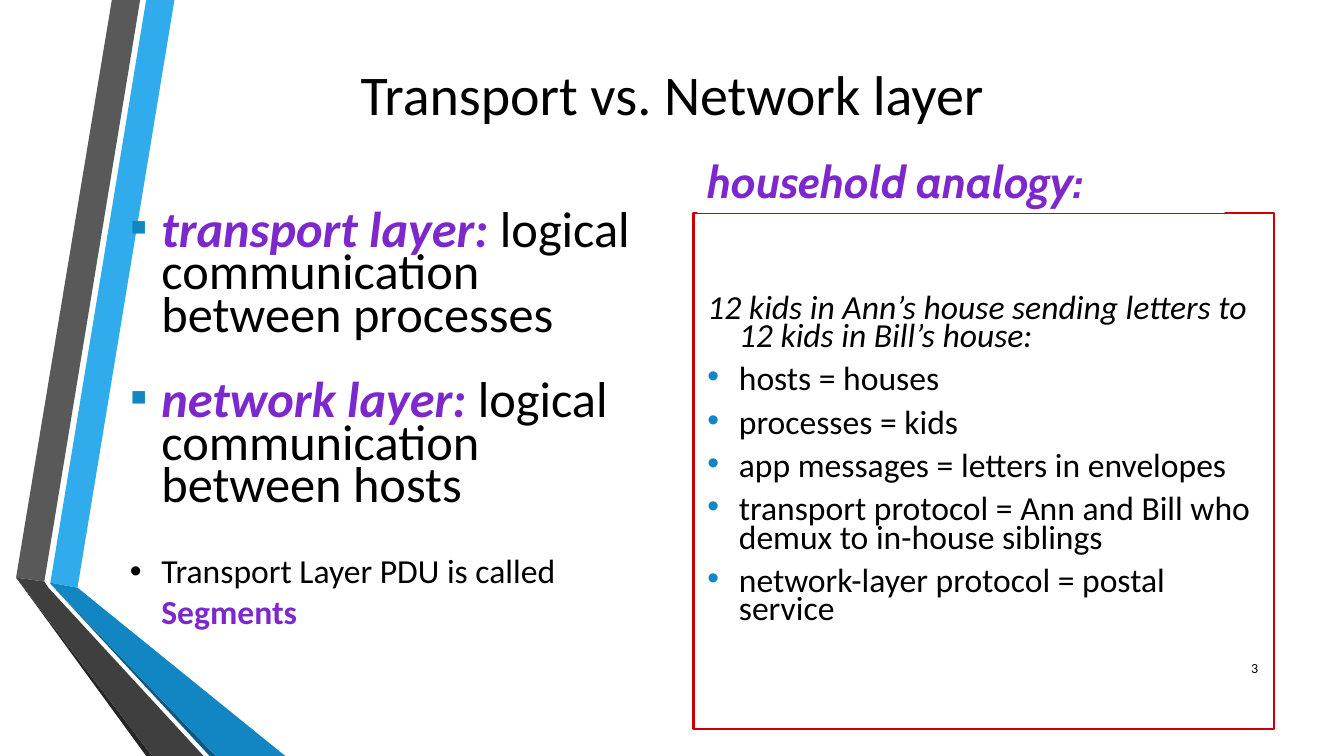
from dataclasses import dataclass

from lxml import etree
from pptx import Presentation
from pptx import util as u
from pptx.dml.color import RGBColor
from pptx.enum import shapes, text
from pptx.oxml.ns import qn


@dataclass(frozen=True)
class Theme:
    black: str = "000000"
    white: str = "FFFFFF"
    purple: str = "7D28CD"
    blue: str = "1186C3"
    light_blue: str = "30ACEC"
    dark_blue: str = "0B5982"
    gray: str = "595959"
    dark_gray: str = "3F3F3F"
    shade: str = "262626"
    red: str = "CC0000"
    font: str = "Calibri"
    accent_font: str = "Cabin"
    title: int = 40
    large: int = 36
    heading: int = 32
    body: int = 24
    number: int = 10


theme = Theme()
MIDDLE = text.MSO_ANCHOR.MIDDLE
TOP = text.MSO_ANCHOR.TOP


def add_text(area, paragraphs, anchor=TOP, fill=None):
    """Each paragraph is (spans, format values, (indent, hanging, bullet, bullet colour));
    each span is (wording, font values, colour)."""
    box = slide.shapes.add_textbox(*map(u.Pt, area))
    if fill:
        box.fill.solid()
        box.fill.fore_color.rgb = RGBColor.from_string(fill)
    frame = box.text_frame
    frame.word_wrap = True
    frame.vertical_anchor = anchor
    for index, (spans, values, layout) in enumerate(paragraphs):
        para = frame.add_paragraph() if index else frame.paragraphs[0]
        indent, hanging, bullet, bullet_color = layout
        props = para._p.get_or_add_pPr()
        props.set("marL", str(u.Pt(indent)))
        props.set("indent", str(u.Pt(-hanging)))
        if bullet:
            color = etree.SubElement(props, qn("a:buClr"))
            etree.SubElement(color, qn("a:srgbClr"), val=bullet_color)
            etree.SubElement(props, qn("a:buFont"), typeface="Arial")
            etree.SubElement(props, qn("a:buChar"), char=bullet)
        for name, value in values.items():
            setattr(para, name, value)
        for wording, font_values, font_color in spans:
            span = para.add_run()
            span.text = wording
            for name, value in ({"name": theme.font} | font_values).items():
                setattr(span.font, name, value)
            span.font.color.rgb = RGBColor.from_string(font_color)


deck = Presentation()
deck.slide_width, deck.slide_height = u.Pt(960), u.Pt(540)
slide = deck.slides.add_slide(deck.slide_layouts[6])

# Folded ribbons along the left edge
ribbons = [
    (theme.light_blue, [(36, 416.2), (55.4, 419.8), (124.6, 0), (104.4, 0)]),
    (theme.gray, [(100.1, 0), (79.9, 0), (11.5, 412.6), (31.7, 415.4)]),
    (theme.shade, [(11.5, 412.6), (104.4, 540), (108.7, 540)]),
    (theme.dark_blue, [(36, 416.9), (149.8, 540), (154.1, 540)]),
    (theme.blue, [(36, 416.9), (154.1, 540), (203.8, 540), (55.4, 419.8), (36, 416.2)]),
    (theme.dark_gray, [(145.4, 540), (34.6, 419.8), (31.7, 415.4), (11.5, 412.6), (108.7, 540)]),
]
for color, points in ribbons:
    corners = [(u.Pt(x), u.Pt(y)) for x, y in points]
    builder = slide.shapes.build_freeform(*corners[0])
    builder.add_line_segments(corners[1:], close=True)
    ribbon = builder.convert_to_shape()
    ribbon.shadow.inherit = False
    ribbon.fill.solid()
    ribbon.fill.fore_color.rgb = RGBColor.from_string(color)
    ribbon.line.fill.background()

plain = (0, 0, None, None)
add_text((85.7, 18.7, 789.1, 95),
         [([("Transport vs. Network layer", {"size": u.Pt(theme.title)}, theme.black)],
           {"alignment": text.PP_ALIGN.CENTER}, plain)], MIDDLE)

# Layer definitions
large = {"size": u.Pt(theme.large)}
strong = large | {"bold": True, "italic": True}
layers = [
    ("transport layer: ", "logical communication between processes", 0),
    ("network layer: ", "logical communication between hosts", 31),
]
add_text((85.7, 115.9, 394.6, 285.8),
         [([(term, strong, theme.purple), (meaning, large, theme.black)],
           {"line_spacing": 0.7, "space_before": u.Pt(gap)}, (22.5, 26, "▪", theme.blue))
          for term, meaning, gap in layers], MIDDLE)

# Household analogy
body = {"size": u.Pt(theme.body)}
pairs = [
    "hosts = houses",
    "processes = kids",
    "app messages = letters in envelopes",
    "transport protocol = Ann and Bill who demux to in-house siblings",
    "network-layer protocol = postal service",
]
intro = ([("12 kids in Ann’s house sending letters to 12 kids in Bill’s house:",
           body | {"italic": True}, theme.black)],
         {"line_spacing": 0.7}, (22.5, 22.5, None, None))
add_text((498.2, 169.2, 411.8, 321),
         [intro] + [([(pair, body, theme.black)],
                     {"line_spacing": 0.7, "space_before": u.Pt(10.8)},
                     (22.5, 22.5, "•", theme.blue)) for pair in pairs], MIDDLE)

border = slide.shapes.add_shape(shapes.MSO_SHAPE.RECTANGLE,
                                *map(u.Pt, (495.4, 151.9, 414.7, 368.6)))
border.shadow.inherit = False
border.fill.background()
border.line.color.rgb = RGBColor.from_string(theme.red)
border.line.width = u.Pt(1.5)

heading = {"name": theme.accent_font, "size": u.Pt(theme.heading), "bold": True, "italic": True}
add_text((498.2, 113.8, 376.6, 38.2),
         [([("household analogy:", heading, theme.purple)], {"line_spacing": 0.8}, plain)],
         fill=theme.white)

add_text((862.6, 463, 43.2, 28.8),
         [([("3", {"size": u.Pt(theme.number)}, theme.black)],
           {"alignment": text.PP_ALIGN.RIGHT}, plain)], MIDDLE)

add_text((85.7, 389.5, 379.4, 65.5),
         [([("Transport Layer PDU is called ", body, theme.black),
            ("Segments", body | {"bold": True}, theme.purple)],
           {}, (22.5, 22.5, "•", theme.black))])

deck.save("out.pptx")
